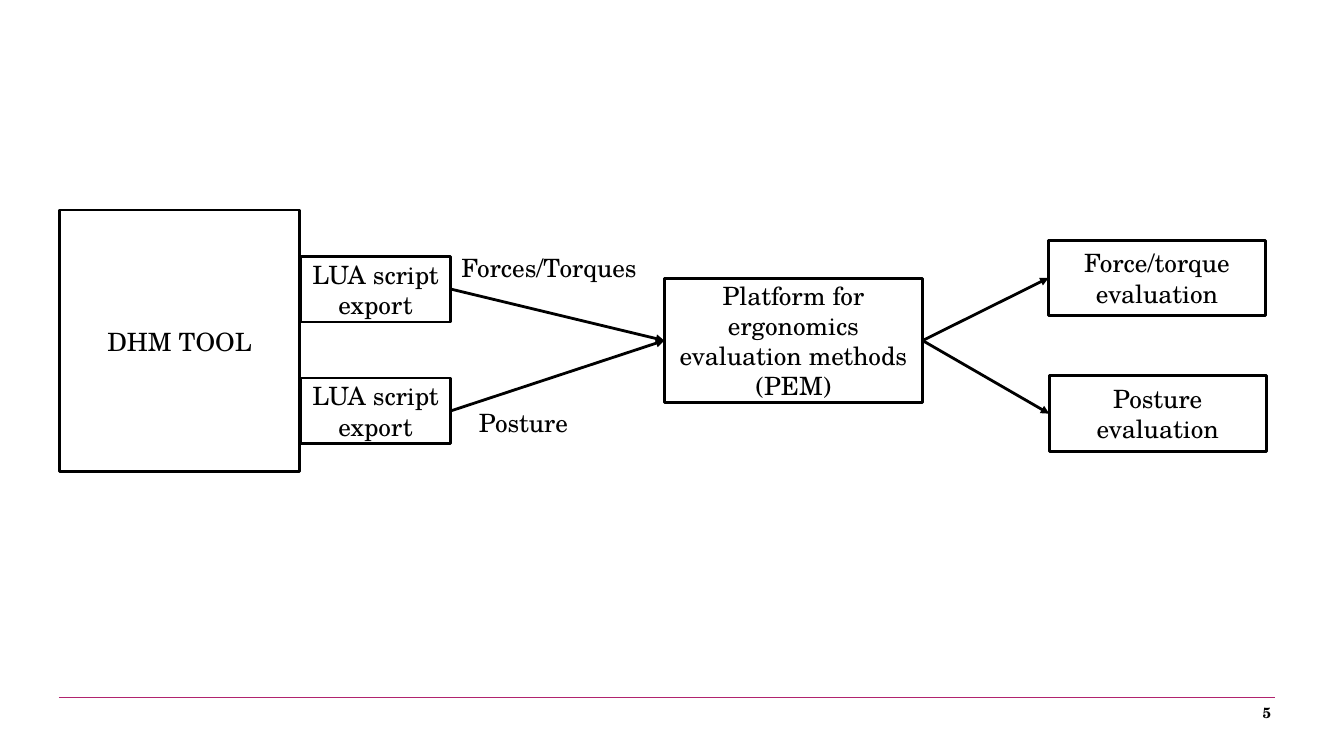
from lxml import etree
from pptx import Presentation
from pptx import util as u
from pptx.dml.color import RGBColor
from pptx.enum import shapes, text
from pptx.oxml.ns import qn

COLORS = {"ink": "000000", "paper": "FFFFFF", "rule": "B1236E"}
FONT = "TeX Gyre Schola"
LEFT_SITE, RIGHT_SITE = 1, 3


def color(name):
    return RGBColor.from_string(COLORS[name])


def write(tf, words, size=18, bold=False, align=text.PP_ALIGN.LEFT,
          anchor=text.MSO_ANCHOR.TOP):
    tf.word_wrap = True
    tf.vertical_anchor = anchor
    p = tf.paragraphs[0]
    p.alignment = align
    r = p.add_run()
    r.text = words
    r.font.name = FONT
    r.font.size = u.Pt(size)
    r.font.bold = bold
    r.font.color.rgb = color("ink")


def add_box(s, words, x, y, w, h):
    sp = s.shapes.add_shape(shapes.MSO_SHAPE.RECTANGLE,
                            u.Pt(x), u.Pt(y), u.Pt(w), u.Pt(h))
    sp.shadow.inherit = False
    sp.fill.solid()
    sp.fill.fore_color.rgb = color("paper")
    sp.line.color.rgb = color("ink")
    sp.line.width = u.Pt(2)
    write(sp.text_frame, words, align=text.PP_ALIGN.CENTER,
          anchor=text.MSO_ANCHOR.MIDDLE)
    return sp


def add_label(s, words, x, y, w, h=29, **fmt):
    sp = s.shapes.add_textbox(u.Pt(x), u.Pt(y), u.Pt(w), u.Pt(h))
    write(sp.text_frame, words, **fmt)


def add_line(s, x1, y1, x2, y2, ink, width):
    line = s.shapes.add_connector(shapes.MSO_CONNECTOR.STRAIGHT,
                                  u.Pt(x1), u.Pt(y1), u.Pt(x2), u.Pt(y2))
    line.line.color.rgb = color(ink)
    line.line.width = u.Pt(width)
    etree.SubElement(line._element.spPr, qn("a:effectLst"))
    return line


def add_arrow(s, source, target):
    arrow = add_line(s, 0, 0, 0, 0, "ink", 2)
    arrow.begin_connect(source, RIGHT_SITE)
    arrow.end_connect(target, LEFT_SITE)
    etree.SubElement(arrow.line._get_or_add_ln(), qn("a:tailEnd"), type="triangle")


def main():
    prs = Presentation()
    prs.slide_width, prs.slide_height = u.Pt(960), u.Pt(540)
    s = prs.slides.add_slide(prs.slide_layouts[6])

    # Footer rule and page number
    add_line(s, 42, 498, 911, 498, "rule", 0.75)
    add_label(s, "5", 699, 499, 216, size=10.5, bold=True,
              align=text.PP_ALIGN.RIGHT)

    # Simulation tool and evaluation platform
    add_box(s, "DHM TOOL", 42.5, 150, 171.5, 187)
    platform = add_box(s, "Platform for ergonomics evaluation methods (PEM)",
                       474.5, 199, 184.5, 88.5)

    # Exports into the platform, evaluations out of it
    for y in (183, 270):
        add_arrow(s, add_box(s, "LUA script export", 214.5, y, 107.5, 47), platform)
    for words, x, y in (("Force/torque evaluation", 749, 171.5),
                        ("Posture evaluation", 749.5, 268.5)):
        add_arrow(s, platform, add_box(s, words, x, y, 155, 54))

    # Names of the exported data
    add_label(s, "Forces/Torques", 322.5, 176.5, 142)
    add_label(s, "Posture", 335, 287.5, 91)

    prs.save("out.pptx")


if __name__ == "__main__":
    main()
